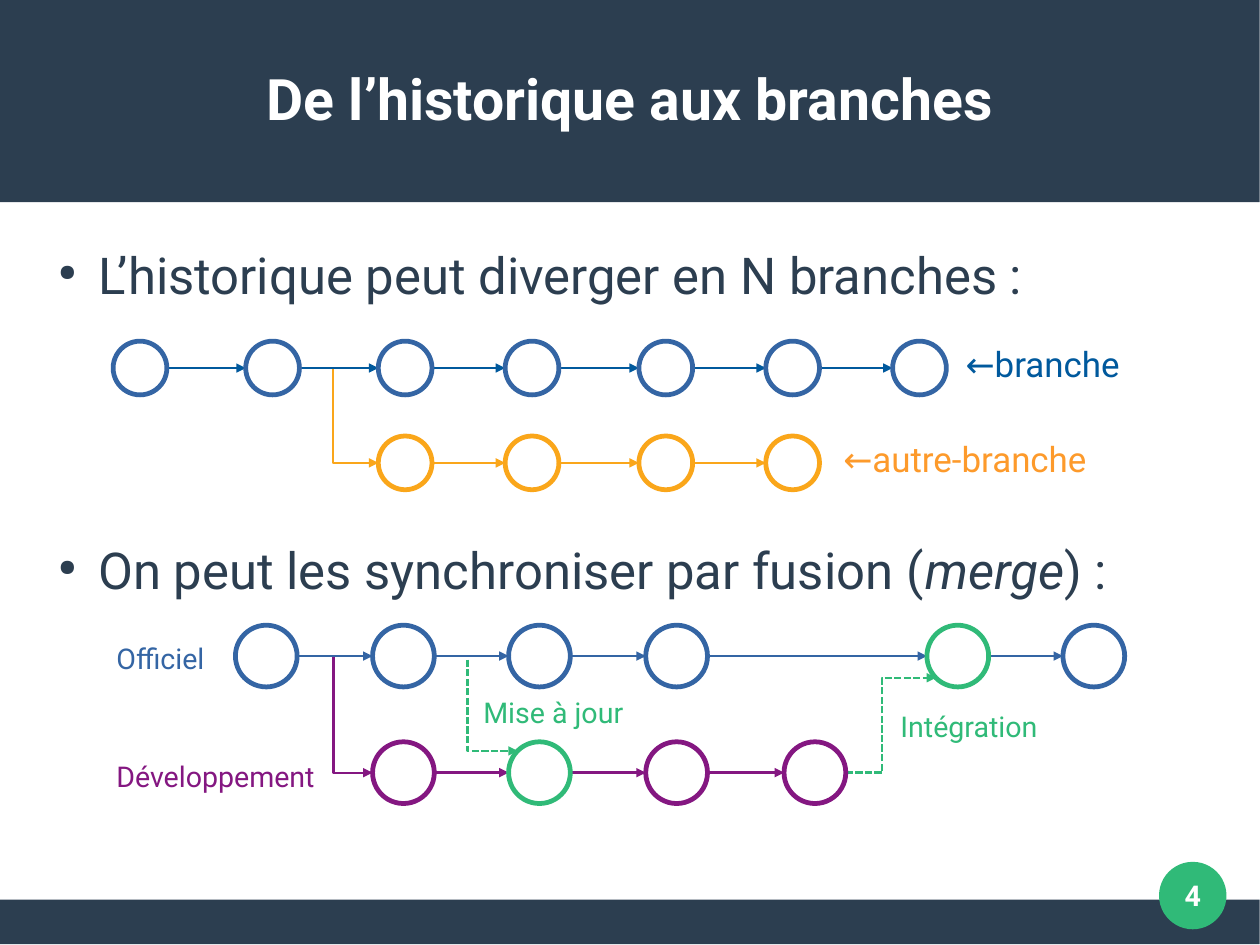
from lxml import etree
from pptx import Presentation
from pptx.dml.color import RGBColor
from pptx.enum.dml import MSO_LINE
from pptx.enum.shapes import MSO_CONNECTOR, MSO_SHAPE
from pptx.enum.text import MSO_ANCHOR, PP_ALIGN
from pptx.oxml.ns import qn
from pptx.util import Cm, Inches, Pt

RECT, OVAL = MSO_SHAPE.RECTANGLE, MSO_SHAPE.OVAL
STRAIGHT, ELBOW = MSO_CONNECTOR.STRAIGHT, MSO_CONNECTOR.ELBOW
DASH = MSO_LINE.SQUARE_DOT
CENTER, MIDDLE = PP_ALIGN.CENTER, MSO_ANCHOR.MIDDLE
FONT = "Roboto"
C = {"dark": "2C3E50", "white": "FFFFFF", "green": "30BA78", "blue": "3465A4",
     "navy": "00599D", "orange": "FAA61A", "label": "FD9A2B", "purple": "841781"}

# Content
TITLE = "De l’historique aux branches"
PAGE = "4"
# Each bullet: space after, runs of (text, italic)
BULLETS = [
    (141.7, [("L’historique peut diverger\u00a0en N branches :", False)]),
    (8.5, [("On peut les synchroniser par fusion (", False), ("merge", True),
           (")\u00a0:", False)]),
]
# Each branch: middle y, diameter, arrow colour, commits as (left, colour)
BRANCHES = [
    (3.22, 0.47, "navy", [(x, "blue") for x in (0.99, 2.15, 3.31, 4.42, 5.59, 6.7, 7.81)]),
    (4.05, 0.47, "orange", [(x, "orange") for x in (3.31, 4.42, 5.59, 6.7)]),
    (5.74, 0.54, "blue", [(2.06, "blue"), (3.26, "blue"), (4.45, "blue"),
                          (5.65, "blue"), (8.11, "green"), (9.3, "blue")]),
    (6.76, 0.54, "purple", [(3.26, "purple"), (4.45, "green"),
                            (5.65, "purple"), (6.86, "purple")]),
]
# Forks and merges: start, end, percent of the width before the bend, colour, dashed
FORKS = [
    ((2.62, 3.22), (3.31, 4.05), 42.6, "orange", False),
    ((7.4, 6.76), (8.19, 5.93), 40.2, "green", True),
    ((3.79, 5.74), (4.53, 6.57), 40.8, "green", True),
    ((2.6, 5.74), (3.26, 6.76), 48.1, "purple", False),
]
# Labels: text, left, top, width, height, size, colour
LABELS = [
    ("←branche", 8.35, 2.95, 2.6, 0.48, 22, "navy"),
    ("←autre-branche", 7.28, 3.78, 3.7, 0.55, 22, "label"),
    ("Mise à jour", 4.13, 6.03, 1.54, 0.69, 18, "green"),
    ("Intégration", 7.78, 6.15, 1.56, 0.41, 18, "green"),
    ("Officiel", 0.92, 5.56, 1.14, 0.41, 18, "blue"),
    ("Développement", 0.92, 6.59, 2, 0.73, 18, "purple"),
]

prs = Presentation()
prs.slide_width, prs.slide_height = Cm(28), Cm(21)
s = prs.slides.add_slide(prs.slide_layouts[5])


def rgb(name):
    return RGBColor.from_string(C[name])


def style(font, size, color, bold=False, italic=False):
    font.name, font.size, font.bold, font.italic = FONT, Pt(size), bold, italic
    font.color.rgb = rgb(color)


def no_margins(tf):
    tf.margin_left = tf.margin_right = tf.margin_top = tf.margin_bottom = 0


def shape(kind, x, y, w, h, fill, line=None):
    sp = s.shapes.add_shape(kind, Inches(x), Inches(y), Inches(w), Inches(h))
    sp.shadow.inherit = False
    sp.fill.solid()
    sp.fill.fore_color.rgb = rgb(fill)
    if line:
        sp.line.color.rgb = rgb(line)
        sp.line.width = Pt(3)
    else:
        sp.line.fill.background()
    return sp


def textbox(x, y, w, h):
    tf = s.shapes.add_textbox(Inches(x), Inches(y), Inches(w), Inches(h)).text_frame
    tf.word_wrap = True
    return tf


def arrow(kind, start, end, color, dashed=False):
    cxn = s.shapes.add_connector(kind, *[Inches(v) for v in start + end])
    cxn.line.color.rgb = rgb(color)
    cxn.line.width = Pt(1.5)
    if dashed:
        cxn.line.dash_style = DASH
    sp_pr = cxn._element.spPr
    etree.SubElement(sp_pr.find(qn("a:ln")), qn("a:tailEnd"), type="triangle")
    etree.SubElement(sp_pr, qn("a:effectLst"))
    return cxn


# Bands and page number
shape(RECT, 0, 7.87, 11.02, 0.39, "dark")
shape(RECT, 0, 0, 11.02, 1.77, "dark")
badge = shape(OVAL, 10.14, 7.54, 0.59, 0.59, "green")
tf = badge.text_frame
no_margins(tf)
tf.text, tf.vertical_anchor = PAGE, MIDDLE
tf.paragraphs[0].alignment = CENTER
style(tf.paragraphs[0].runs[0].font, 18, "white", bold=True)

# Title, brought in front of its band
title = s.shapes.title
title.left, title.top = Inches(0.39), Inches(0.33)
title.width, title.height = Inches(10.24), Inches(1.05)
tf = title.text_frame
no_margins(tf)
tf.text, tf.vertical_anchor = TITLE, MIDDLE
tf.paragraphs[0].alignment = CENTER
style(tf.paragraphs[0].runs[0].font, 36, "white", bold=True)
s.shapes._spTree.append(title._element)

# Bullets
tf = textbox(0.39, 2.05, 10.24, 5.63)
no_margins(tf)
for i, (after, runs) in enumerate(BULLETS):
    p = tf.add_paragraph() if i else tf.paragraphs[0]
    p.line_spacing, p.space_after = 1.15, Pt(after)
    p_pr = p._p.get_or_add_pPr()
    p_pr.set("marL", str(Inches(0.47)))
    p_pr.set("indent", str(Inches(-0.35)))
    etree.SubElement(p_pr, qn("a:buSzPct"), val="45000")
    etree.SubElement(p_pr, qn("a:buChar"), char="●")
    for text, italic in runs:
        r = p.add_run()
        r.text = text
        style(r.font, 32, "dark", italic=italic)

# Forks and merges
for start, end, bend, color, dashed in FORKS:
    cxn = arrow(ELBOW, start, end, color, dashed)
    guides = cxn._element.spPr.find(qn("a:prstGeom")).get_or_add_avLst()
    etree.SubElement(guides, qn("a:gd"), name="adj1", fmla=f"val {round(bend * 1000)}")

# Commits and the arrows between them
for y, d, color, commits in BRANCHES:
    for (x, _), (next_x, _) in zip(commits, commits[1:]):
        arrow(STRAIGHT, (x + d, y), (next_x, y), color)
    for x, outline in commits:
        shape(OVAL, x, y - d / 2, d, d, "white", outline)

# Labels
for text, x, y, w, h, size, color in LABELS:
    tf = textbox(x, y, w, h)
    tf.text = text
    style(tf.paragraphs[0].runs[0].font, size, color)

prs.save("out.pptx")
